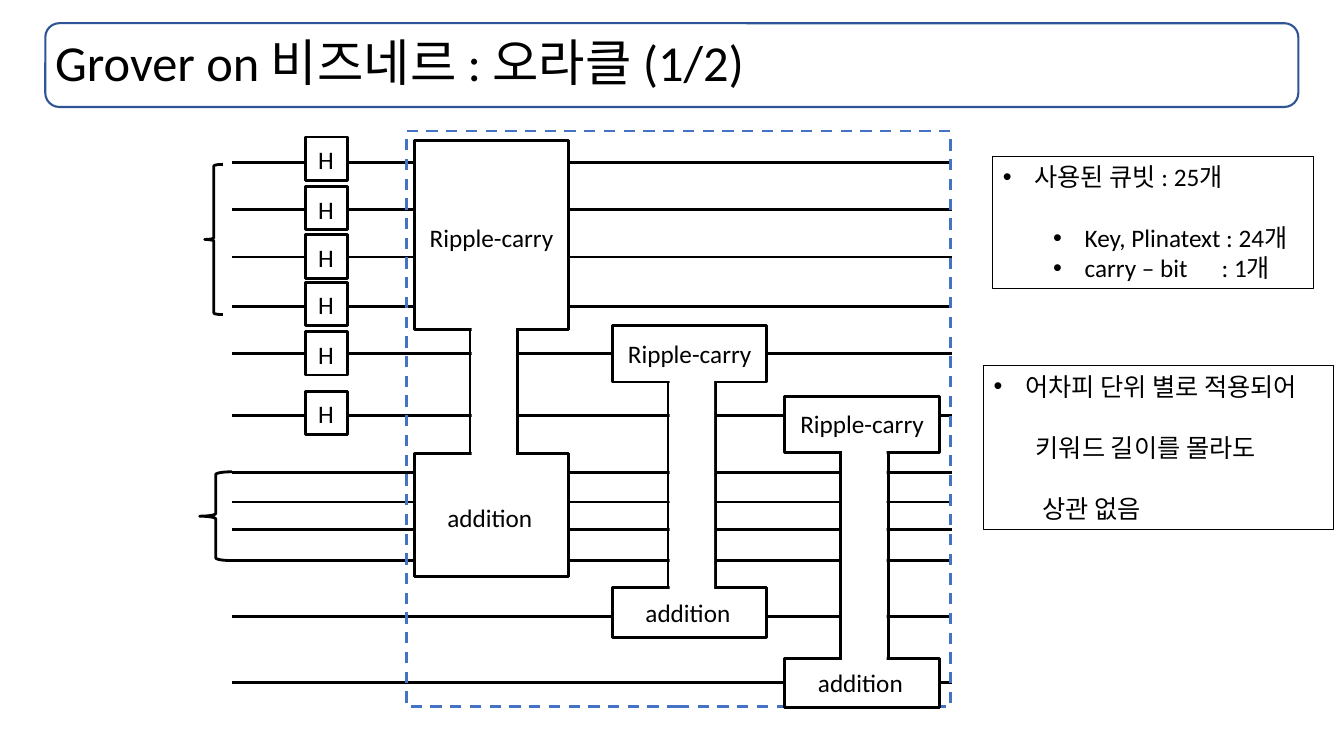
from pptx import Presentation
from pptx.dml.color import RGBColor
from pptx.enum.dml import MSO_LINE
from pptx.enum.shapes import MSO_CONNECTOR, MSO_SHAPE
from pptx.enum.text import MSO_ANCHOR, PP_ALIGN
from pptx.oxml.ns import qn
from pptx.util import Pt

RECT = MSO_SHAPE.RECTANGLE
ROUNDED = MSO_SHAPE.ROUNDED_RECTANGLE
BRACE = MSO_SHAPE.LEFT_BRACE
STRAIGHT = MSO_CONNECTOR.STRAIGHT
DASH = MSO_LINE.DASH
LEFT = PP_ALIGN.LEFT
TOP, MIDDLE = MSO_ANCHOR.TOP, MSO_ANCHOR.MIDDLE
BLACK, WHITE = "000000", "FFFFFF"


def color(hex_text):
    return RGBColor.from_string(hex_text)


class Painter:
    font = "Calibri"
    size = 18
    line_height = 22

    def __init__(self, page):
        self.page = page

    def shape(self, kind, left, top, width, height, fill=None, line=BLACK, weight=2):
        shape = self.page.shapes.add_shape(kind, Pt(left), Pt(top), Pt(width), Pt(height))
        shape.shadow.inherit = False
        if fill:
            shape.fill.solid()
            shape.fill.fore_color.rgb = color(fill)
        else:
            shape.fill.background()
        if line:
            shape.line.color.rgb = color(line)
            shape.line.width = Pt(weight)
        else:
            shape.line.fill.background()
        return shape

    def line(self, x1, y1, x2, y2):
        line = self.page.shapes.add_connector(STRAIGHT, Pt(x1), Pt(y1), Pt(x2), Pt(y2))
        line.line.color.rgb = color(BLACK)
        line.line.width = Pt(2)
        properties = line._element.spPr
        properties.append(properties.makeelement(qn("a:effectLst"), {}))

    def span(self, para, text, size=None):
        span = para.add_run()
        span.text = text
        span.font.name = self.font
        span.font.size = Pt(size or self.size)
        span.font.color.rgb = color(BLACK)

    def label(self, left, top, width, height, text, size=None, wrap=False, anchor=TOP):
        box = self.page.shapes.add_textbox(Pt(left), Pt(top), Pt(width), Pt(height))
        box.text_frame.word_wrap = wrap
        box.text_frame.vertical_anchor = anchor
        para = box.text_frame.paragraphs[0]
        para.alignment = LEFT
        self.span(para, text, size)
        return para

    def note(self, left, top, width, height, items):
        """Each item: text, indent, bulleted, gap before, tab stop."""
        box = self.shape(RECT, left, top, width, height, weight=0.75)
        frame = box.text_frame
        frame.word_wrap = True
        frame.vertical_anchor = TOP
        for index, (text, indent, bulleted, gap, tab) in enumerate(items):
            para = frame.add_paragraph() if index else frame.paragraphs[0]
            para.alignment = LEFT
            if gap:
                para.space_before = Pt(self.line_height)
            properties = para._p.get_or_add_pPr()
            properties.set("marL", str(Pt(indent)))
            properties.set("indent", str(Pt(-22.5 if bulleted else 0)))
            if bulleted:
                font = properties.makeelement(qn("a:buFont"), {"typeface": "Arial"})
                bullet = properties.makeelement(qn("a:buChar"), {"char": "•"})
                properties.extend([font, bullet])
            if tab:
                tabs = properties.makeelement(qn("a:tabLst"), {})
                stop = {"pos": str(Pt(tab)), "algn": "l"}
                tabs.append(tabs.makeelement(qn("a:tab"), stop))
                properties.append(tabs)
            self.span(para, text)

    def gate(self, left, top):
        self.shape(RECT, left, top, 30.2, 31, WHITE)
        self.label(left + 2, top + 1.8, 26, 26.6, "H")

    def adder(self, left, top, carry_height, carry_text, bottom, sum_height, sum_text):
        carry_end = top + carry_height
        for offset in (39.8, 73.8):
            self.line(left + offset, carry_end, left + offset, bottom)
        self.shape(RECT, left, top, 110.4, carry_height, WHITE)
        self.label(left + 4, carry_text, 108, 29, "Ripple-carry")
        self.shape(RECT, left, bottom, 110.4, sum_height, WHITE)
        self.label(left + 16.6, sum_text, 76.3, 29, "addition")
        # Opening that joins both halves
        self.shape(RECT, left + 41, carry_end - 8, 31.7, bottom - carry_end + 14, WHITE, None)


def main():
    deck = Presentation()
    deck.slide_width, deck.slide_height = Pt(960), Pt(540)
    page = deck.slides.add_slide(deck.slide_layouts[6])
    painter = Painter(page)

    # Title
    title_area = (32.4, 16.6, 895, 59.8)
    painter.shape(ROUNDED, *title_area, line="2F5597", weight=1.5)
    title = painter.label(*title_area, "Grover on 비즈네르 : 오라클 (1/2)", 36, True, MIDDLE)
    title.line_spacing = 0.9

    # Qubit wires and register braces
    for y in (115.9, 149.8, 183.6, 218.9, 252.7, 296.6,
              337.7, 358.6, 378, 400.3, 440.6, 487.4):
        painter.line(165.8, y, 679.8, y)
    painter.shape(BRACE, 146.2, 117.4, 13, 107.3)
    painter.shape(BRACE, 142.6, 337, 23, 63.4)

    # Hadamard gates
    for y in (97.9, 133.2, 167.8, 201.6, 236.9, 279.4):
        painter.gate(218.2, y)

    # Oracle frame and its adders
    frame = painter.shape(RECT, 290.2, 93.6, 388.8, 411.1, line="4472C4")
    frame.line.dash_style = DASH
    painter.adder(295.9, 100.1, 135.4, 155.5, 324, 87.8, 355)
    painter.adder(437.4, 232.6, 40.3, 238.3, 419.8, 35.3, 423.4)
    painter.adder(560.6, 283, 40.3, 288, 470.2, 35.3, 473)

    # Notes
    painter.note(709.2, 111.6, 229, 94.3, [
        ("사용된 큐빗 : 25개", 22.5, True, False, None),
        ("Key, Plinatext : 24개", 58.5, True, True, None),
        ("carry – bit\t: 1개", 58.5, True, False, 160),
    ])
    painter.note(702.7, 261.4, 249.8, 116.6, [
        ("어차피 단위 별로 적용되어", 22.5, True, False, None),
        ("키워드 길이를 몰라도", 30, False, True, None),
        ("상관 없음", 35, False, True, None),
    ])

    deck.save("out.pptx")


if __name__ == "__main__":
    main()
